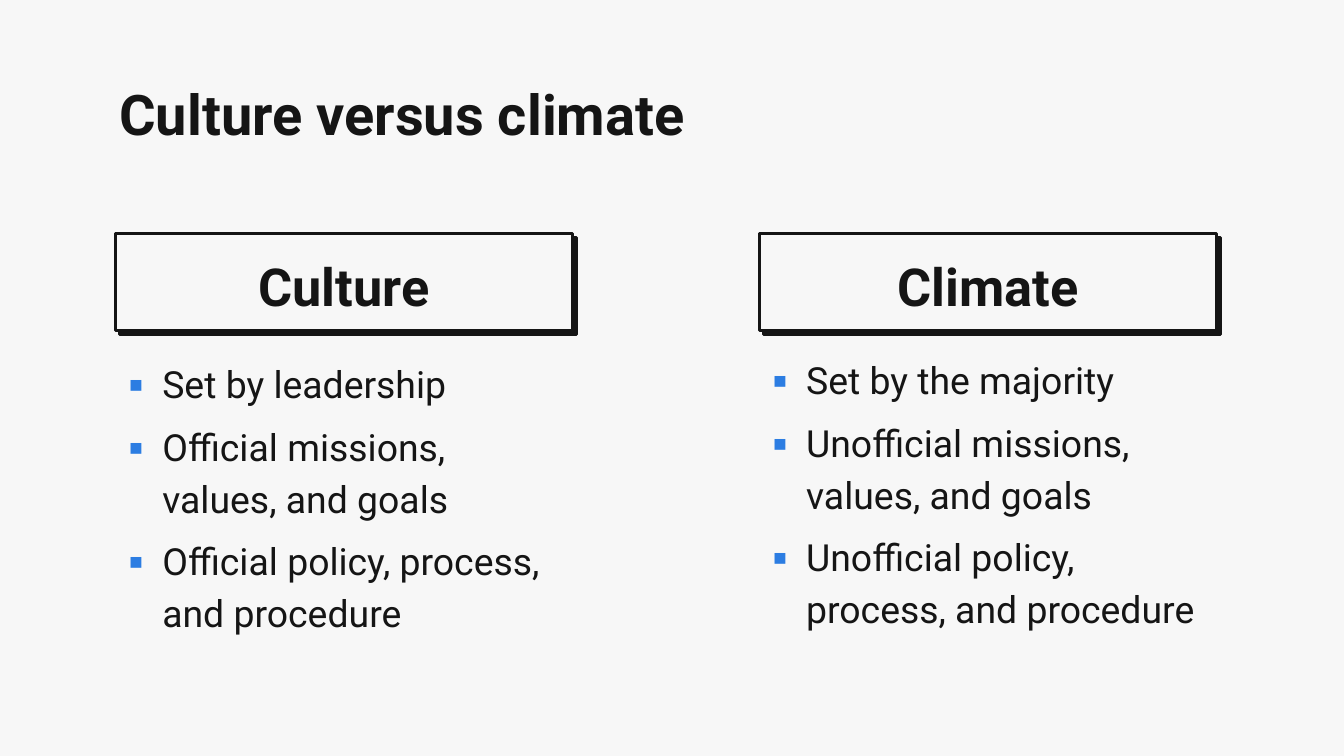
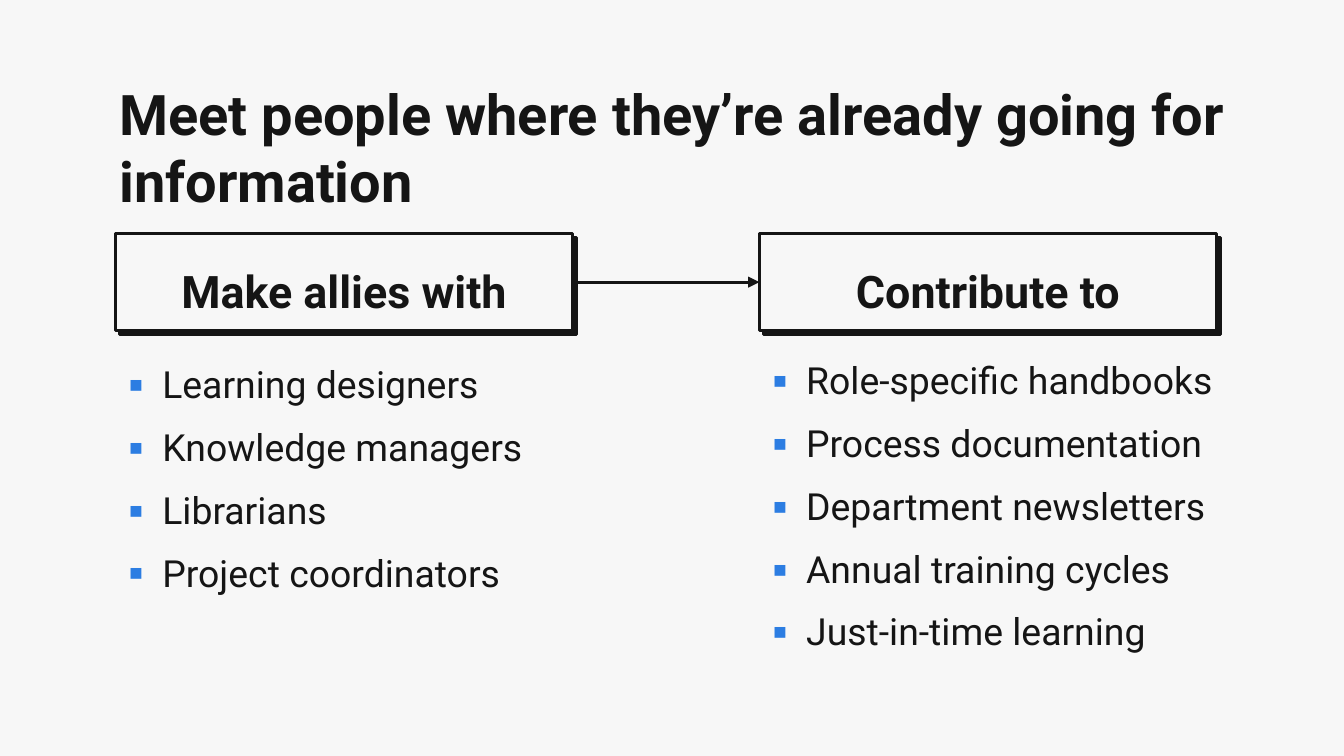
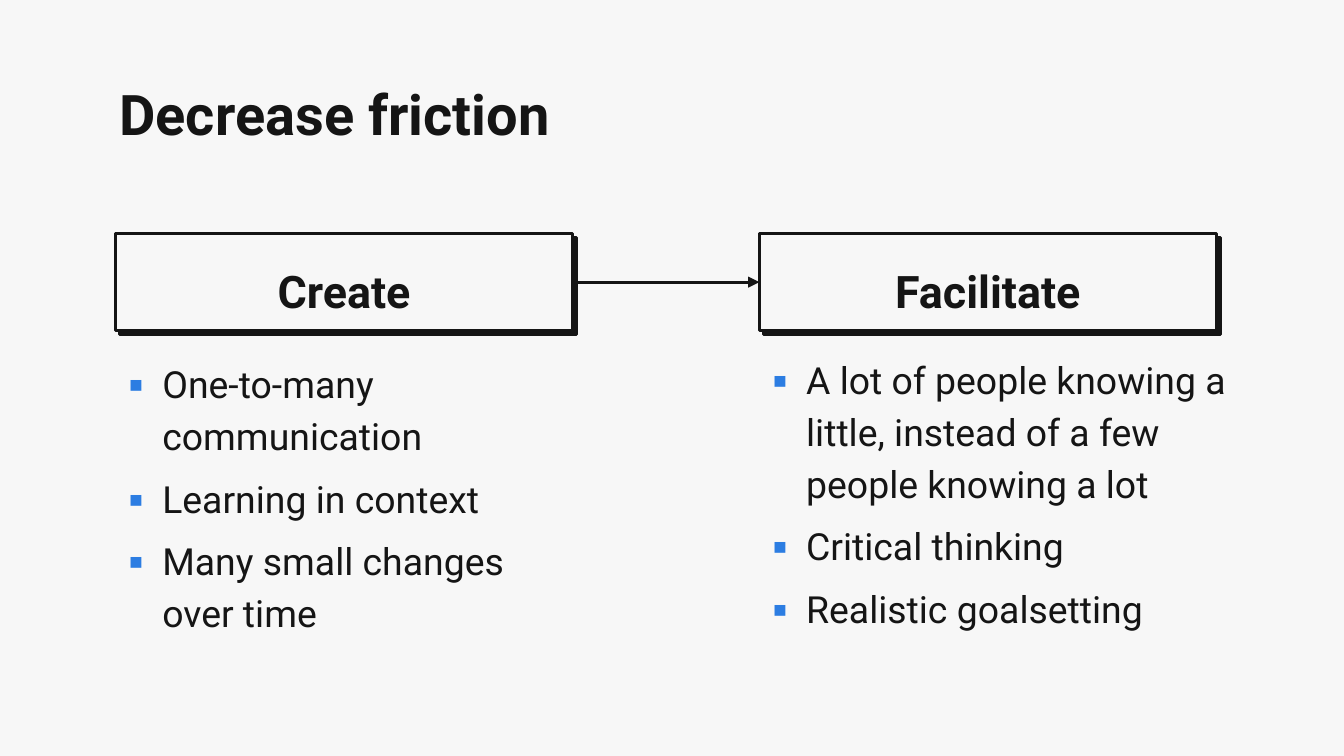
from collections import namedtuple

from lxml import etree
from pptx import Presentation
from pptx.dml.color import RGBColor
from pptx.enum.shapes import MSO_CONNECTOR, MSO_SHAPE
from pptx.enum.text import MSO_ANCHOR, PP_ALIGN
from pptx.oxml.ns import qn
from pptx.util import Inches, Pt

# Shared style
PAPER = RGBColor(0xF7, 0xF7, 0xF7)
INK = RGBColor(0x15, 0x15, 0x15)
ACCENT = RGBColor(0x2C, 0x7D, 0xE2)
FONT = "Roboto"
BULLET = "▪"
LEFT, CENTER = PP_ALIGN.LEFT, PP_ALIGN.CENTER
TOP, BOTTOM = MSO_ANCHOR.TOP, MSO_ANCHOR.BOTTOM
RECTANGLE, STRAIGHT = MSO_SHAPE.RECTANGLE, MSO_CONNECTOR.STRAIGHT

# Grid of 100 columns by 100 rows over a 16:9 slide
SLIDE_W = Inches(10)
SLIDE_H = SLIDE_W * 9 // 16
COL, ROW = SLIDE_W / 100, SLIDE_H / 100
Box = namedtuple("Box", "left top width height")

TITLE_BOX = Box(7.9, 8.7, 84.3, 11.2)
LEFT_BOX = Box(8.6, 30.93, 34, 32.8)
RIGHT_BOX = Box(56.5, 30.93, 34, 32.8)
HEADING_ROWS = 12.8
LEFT_GAP, RIGHT_GAP = 1.43, 0.9  # rows between heading and list
WIDE_LIST = 36.4

SLIDES = [
    dict(title="Culture versus climate", heading_size=28, arrow=False,
         right_list_width=RIGHT_BOX.width,
         left=("Culture", ["Set by leadership",
                           "Official missions, values, and goals",
                           "Official policy, process, and procedure"]),
         right=("Climate", ["Set by the majority",
                            "Unofficial missions, values, and goals",
                            "Unofficial policy, process, and procedure"])),
    dict(title="Meet people where they’re already going for information",
         heading_size=24, arrow=True, right_list_width=WIDE_LIST,
         left=("Make allies with", ["Learning designers", "Knowledge managers",
                                    "Librarians", "Project coordinators"]),
         right=("Contribute to", ["Role-specific handbooks",
                                  "Process documentation",
                                  "Department newsletters",
                                  "Annual training cycles",
                                  "Just-in-time learning"])),
    dict(title="Decrease friction", heading_size=24, arrow=True,
         right_list_width=WIDE_LIST,
         left=("Create", ["One-to-many communication", "Learning in context",
                          "Many small changes over time"]),
         right=("Facilitate", ["A lot of people knowing a little, instead of "
                               "a few people knowing a lot",
                               "Critical thinking", "Realistic goalsetting"])),
]


def place(box):
    """Turn grid columns and rows into slide lengths."""
    return (round(box.left * COL), round(box.top * ROW),
            round(box.width * COL), round(box.height * ROW))


def add_bullet(paragraph):
    properties = paragraph._p.get_or_add_pPr()
    properties.set("marL", str(Inches(0.25)))
    properties.set("indent", str(-Inches(0.25)))
    color = etree.SubElement(properties, qn("a:buClr"))
    etree.SubElement(color, qn("a:srgbClr"), val=str(ACCENT))
    etree.SubElement(properties, qn("a:buFont"), typeface=FONT)
    etree.SubElement(properties, qn("a:buChar"), char=BULLET)


def write(shape, lines, *, size, bold=False, align=LEFT, anchor=TOP,
          spacing=None, after=None, bulleted=False):
    frame = shape.text_frame
    frame.word_wrap = True
    frame.vertical_anchor = anchor
    frame.margin_left = frame.margin_right = Inches(0.1)
    frame.margin_top = frame.margin_bottom = Inches(0.1)
    for index, line in enumerate(lines):
        paragraph = frame.paragraphs[0] if index == 0 else frame.add_paragraph()
        if bulleted:
            add_bullet(paragraph)
        paragraph.alignment = align
        paragraph.line_spacing = spacing
        paragraph.space_after = after
        run = paragraph.add_run()
        run.text = line
        run.font.name = FONT
        run.font.size = Pt(size)
        run.font.bold = bold
        run.font.color.rgb = INK


def add_hard_shadow(shape):
    shape.shadow.inherit = False
    effects = shape._element.spPr.find(qn("a:effectLst"))
    shadow = etree.SubElement(effects, qn("a:outerShdw"), blurRad="0",
                              dist=str(Pt(3)), dir=str(40 * 60000),
                              algn="bl", rotWithShape="0")
    etree.SubElement(shadow, qn("a:srgbClr"), val=str(INK))


def add_title(slide, box, title):
    write(slide.shapes.add_textbox(*place(box)), [title], size=30, bold=True)


def add_column(slide, box, heading, points, *, heading_size, gap, list_width):
    # Framed heading
    frame = slide.shapes.add_shape(
        RECTANGLE, *place(box._replace(height=HEADING_ROWS)))
    frame.fill.solid()
    frame.fill.fore_color.rgb = PAPER
    frame.line.color.rgb = INK
    frame.line.width = Pt(1.5)
    add_hard_shadow(frame)
    write(frame, [heading], size=heading_size, bold=True, align=CENTER,
          anchor=BOTTOM, spacing=1.15)

    # Bulleted points below it
    offset = HEADING_ROWS + gap
    list_box = Box(box.left, box.top + offset, list_width, box.height - offset)
    write(slide.shapes.add_textbox(*place(list_box)), points, size=20,
          spacing=1.15, after=Pt(6), bulleted=True)


def add_arrow(slide, start_box, end_box):
    """Join the headings of two columns at mid height."""
    start = round((start_box.left + start_box.width) * COL)
    end = round(end_box.left * COL)
    middle = round((start_box.top + HEADING_ROWS / 2) * ROW)
    arrow = slide.shapes.add_connector(STRAIGHT, start, middle, end, middle)
    arrow.line.color.rgb = INK
    arrow.line.width = Pt(1.75)
    etree.SubElement(arrow.line._get_or_add_ln(), qn("a:tailEnd"),
                     type="triangle")
    etree.SubElement(arrow._element.spPr, qn("a:effectLst"))


def add_comparison(deck, *, title, left, right, heading_size, arrow,
                   right_list_width):
    slide = deck.slides.add_slide(deck.slide_layouts[6])
    slide.background.fill.solid()
    slide.background.fill.fore_color.rgb = PAPER
    add_title(slide, TITLE_BOX, title)
    add_column(slide, LEFT_BOX, *left, heading_size=heading_size,
               gap=LEFT_GAP, list_width=LEFT_BOX.width)
    add_column(slide, RIGHT_BOX, *right, heading_size=heading_size,
               gap=RIGHT_GAP, list_width=right_list_width)
    if arrow:
        add_arrow(slide, LEFT_BOX, RIGHT_BOX)


def main():
    deck = Presentation()
    deck.slide_width, deck.slide_height = SLIDE_W, SLIDE_H
    for content in SLIDES:
        add_comparison(deck, **content)
    deck.save("out.pptx")


if __name__ == "__main__":
    main()
